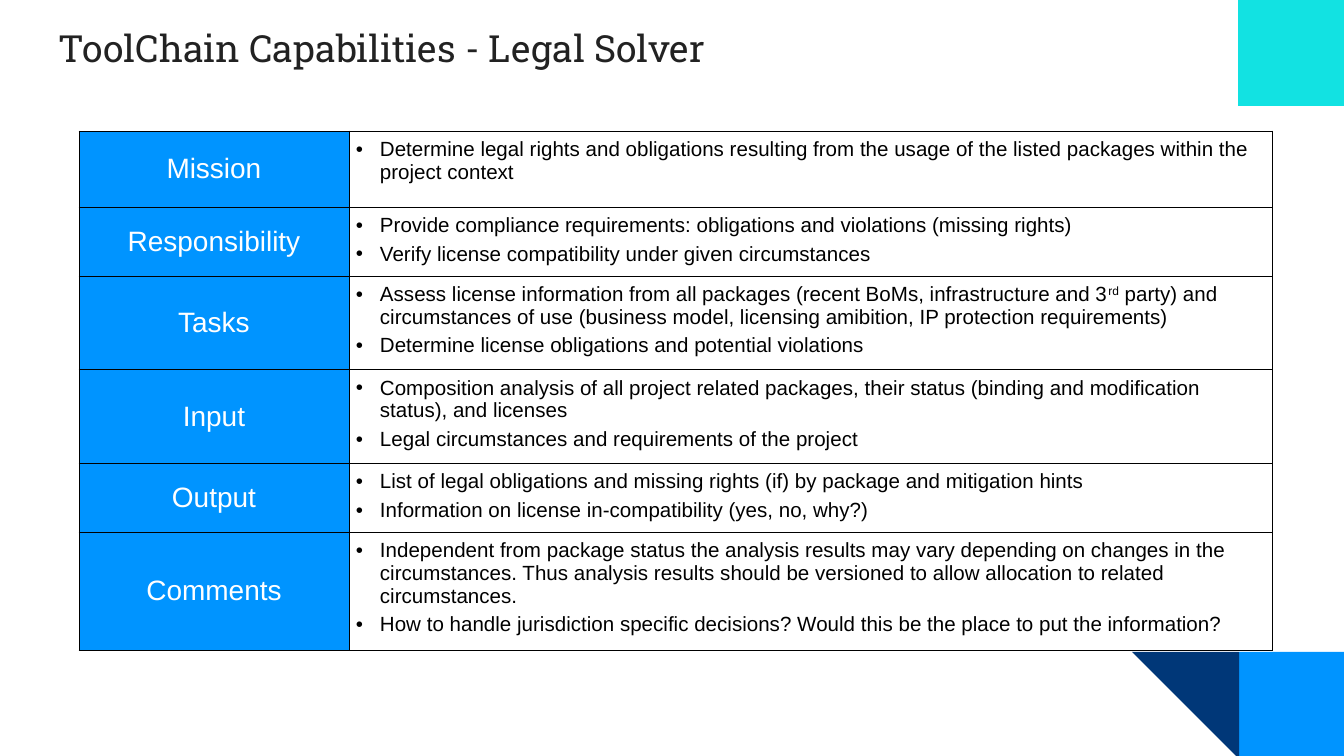
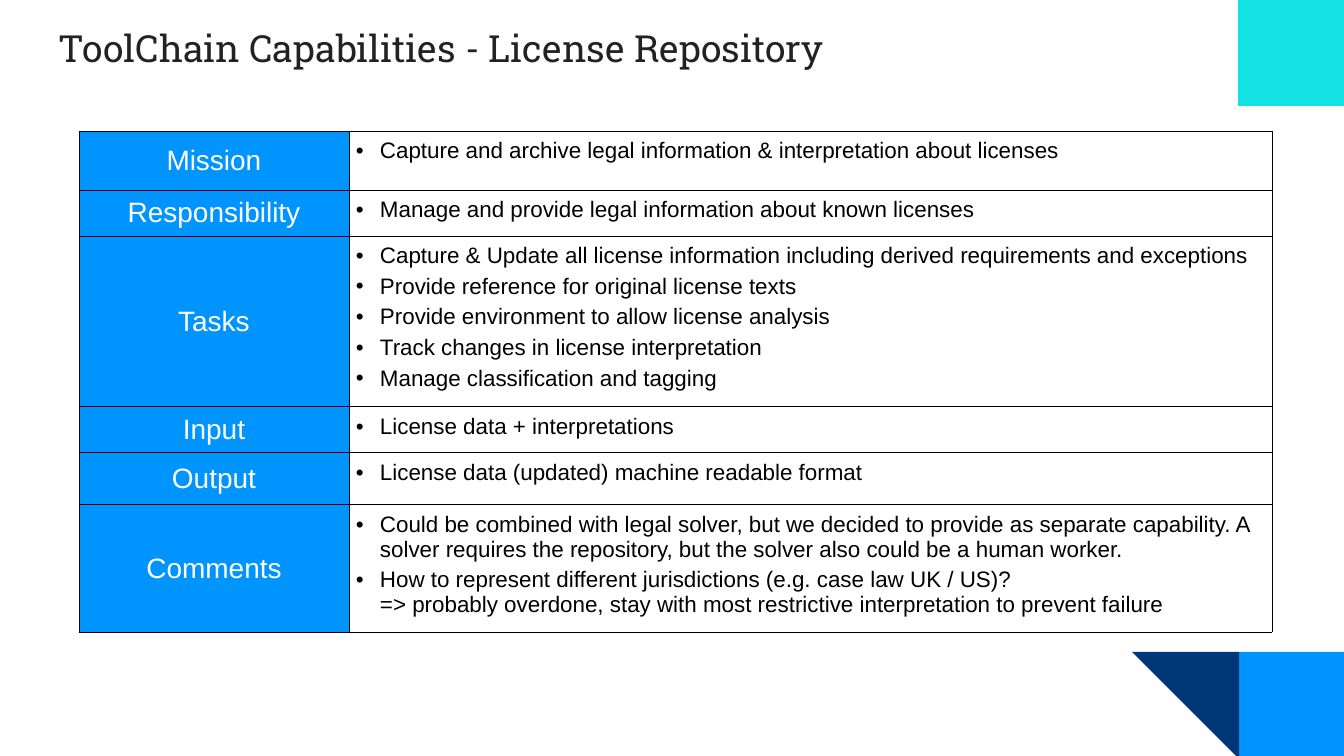
from copy import deepcopy
from typing import NamedTuple

from lxml.etree import SubElement
from pptx import Presentation
from pptx.dml.color import RGBColor
from pptx.enum.shapes import MSO_SHAPE as SHAPE
from pptx.enum.text import MSO_ANCHOR as ANCHOR, PP_ALIGN as ALIGN
from pptx.oxml.ns import qn
from pptx.util import Emu, Pt

EMU_PER_INCH = 914400
PX_PER_INCH = 134.4
COLORS = {
    "blue": "0094FF",
    "navy": "003778",
    "cyan": "12E2E2",
    "title": "222222",
    "black": "000000",
    "white": "FFFFFF",
}
BODY_FONT = "Arial"
TITLE_FONT = "Roboto Slab"
TITLE_SIZE, LABEL_SIZE = 20, 15
LABELS = ["Mission", "Responsibility", "Tasks", "Input", "Output", "Comments"]
TABLE_LEFT, TABLE_TOP = 79, 131
COLUMNS = [270, 923]
CELL_MARGIN = 7
BULLET_INDENT = 24
SUPERSCRIPT_MARK = "^"


class Corner(NamedTuple):
    kind: SHAPE
    left: int
    top: int
    size: int
    color: str
    rotation: int = 0


class Capability(NamedTuple):
    name: str
    text_size: int
    row_heights: list[int]
    contents: list[list[str]]


CORNERS = [
    Corner(SHAPE.RECTANGLE, 1239, 652, 106, "blue"),
    Corner(SHAPE.RIGHT_TRIANGLE, 1132, 652, 107, "navy", 180),
    Corner(SHAPE.RECTANGLE, 1238, 0, 106, "cyan"),
]

CAPABILITIES = [
    Capability("Legal Solver", 11, [76, 66, 88, 89, 66, 111], [
        ["Determine legal rights and obligations resulting from the usage of the "
         "listed packages within the project context"],
        ["Provide compliance requirements: obligations and violations (missing rights)",
         "Verify license compatibility under given circumstances"],
        ["Assess license information from all packages (recent BoMs, infrastructure "
         "and 3^rd^ party) and circumstances of use (business model, licensing "
         "amibition, IP protection requirements)",
         "Determine license obligations and potential violations"],
        ["Composition analysis of all project related packages, their status "
         "(binding and modification status), and licenses",
         "Legal circumstances and requirements of the project"],
        ["List of legal obligations and missing rights (if) by package and "
         "mitigation hints",
         "Information on license in-compatibility (yes, no, why?)"],
        ["Independent from package status the analysis results may vary depending on "
         "changes in the circumstances. Thus analysis results should be versioned to "
         "allow allocation to related circumstances.",
         "How to handle jurisdiction specific decisions? Would this be the place to "
         "put the information?"],
    ]),
    Capability("License Repository", 12, [59, 46, 165, 46, 52, 126], [
        ["Capture and archive legal information & interpretation about licenses"],
        ["Manage and provide legal information about known licenses"],
        ["Capture & Update all license information including derived requirements "
         "and exceptions",
         "Provide reference for original license texts",
         "Provide environment to allow license analysis",
         "Track changes in license interpretation",
         "Manage classification and tagging"],
        ["License data + interpretations"],
        ["License data (updated) machine readable format"],
        ["Could be combined with legal solver, but we decided to provide as separate "
         "capability. A solver requires the repository, but the solver also could be "
         "a human worker.",
         "How to represent different jurisdictions (e.g. case law UK / US)?\n"
         "=> probably overdone, stay with most restrictive interpretation to prevent "
         "failure"],
    ]),
]


def px(n: int) -> Emu:
    return Emu(round(n * EMU_PER_INCH / PX_PER_INCH))


def rgb(color: str) -> RGBColor:
    return RGBColor.from_string(COLORS[color])


def style_runs(p, size: int, color: str, font: str = BODY_FONT) -> None:
    """Format every run, and give line breaks the same format."""
    for r in p.runs:
        r.font.size = Pt(size)
        r.font.name = font
        r.font.color.rgb = rgb(color)
    for br in p._p.findall(qn("a:br")):
        br.append(deepcopy(p.runs[0]._r.rPr))


def add_bullet(p) -> None:
    pPr = p._p.get_or_add_pPr()
    pPr.set("marL", str(px(BULLET_INDENT)))
    pPr.set("indent", str(-px(BULLET_INDENT)))
    clr = SubElement(pPr, qn("a:buClr"))
    SubElement(clr, qn("a:srgbClr"), val=COLORS["black"])
    SubElement(pPr, qn("a:buFont"), typeface=BODY_FONT)
    SubElement(pPr, qn("a:buChar"), char="•")


def set_margins(box, margin: int) -> None:
    box.margin_left = box.margin_right = px(margin)
    box.margin_top = box.margin_bottom = px(margin)


def add_borders(cell) -> None:
    tcPr = cell._tc.get_or_add_tcPr()
    for side in ("lnL", "lnR", "lnT", "lnB"):
        ln = SubElement(tcPr, qn(f"a:{side}"), w=str(Pt(0.5)))
        fill = SubElement(ln, qn("a:solidFill"))
        SubElement(fill, qn("a:srgbClr"), val=COLORS["black"])


def fill_label(cell, label: str) -> None:
    add_borders(cell)
    cell.fill.solid()
    cell.fill.fore_color.rgb = rgb("blue")
    cell.vertical_anchor = ANCHOR.MIDDLE
    set_margins(cell, 0)
    p = cell.text_frame.paragraphs[0]
    p.text = label
    p.alignment = ALIGN.CENTER
    style_runs(p, LABEL_SIZE, "white")


def fill_content(cell, items: list[str], size: int) -> None:
    """Write a bullet list; text between two marks is superscript."""
    add_borders(cell)
    cell.fill.background()
    set_margins(cell, CELL_MARGIN)
    tf = cell.text_frame
    for i, item in enumerate(items):
        p = tf.add_paragraph() if i else tf.paragraphs[0]
        p.space_before = Pt(3 if i else 0)
        add_bullet(p)
        first, *rest = item.split(SUPERSCRIPT_MARK)
        p.text = first
        for j, part in enumerate(rest):
            r = p.add_run()
            r.text = part
            if j % 2 == 0:
                r.font._element.set("baseline", "30000")
        style_runs(p, size, "black")


def add_corners(slide) -> None:
    for corner in CORNERS:
        sp = slide.shapes.add_shape(corner.kind, px(corner.left), px(corner.top),
                                    px(corner.size), px(corner.size))
        sp.rotation = corner.rotation
        sp.shadow.inherit = False
        sp.fill.solid()
        sp.fill.fore_color.rgb = rgb(corner.color)
        sp.line.fill.background()


def add_title(slide, name: str) -> None:
    sp = slide.shapes.add_textbox(px(46), px(12), px(1253), px(89))
    tf = sp.text_frame
    tf.word_wrap = True
    set_margins(tf, 13)
    p = tf.paragraphs[0]
    p.text = f"ToolChain Capabilities - {name}"
    style_runs(p, TITLE_SIZE, "title", TITLE_FONT)


def add_capability_table(slide, capability: Capability) -> None:
    heights = capability.row_heights
    table = slide.shapes.add_table(
        len(LABELS), len(COLUMNS), px(TABLE_LEFT), px(TABLE_TOP),
        px(sum(COLUMNS)), px(sum(heights))).table
    table.first_row = table.horz_banding = False
    for column, width in zip(table.columns, COLUMNS):
        column.width = px(width)
    for row, height, label, items in zip(table.rows, heights, LABELS,
                                         capability.contents):
        row.height = px(height)
        fill_label(row.cells[0], label)
        fill_content(row.cells[1], items, capability.text_size)


def main() -> None:
    prs = Presentation()
    prs.slide_width, prs.slide_height = px(1344), px(756)
    for capability in CAPABILITIES:
        slide = prs.slides.add_slide(prs.slide_layouts[6])
        add_corners(slide)
        add_title(slide, capability.name)
        add_capability_table(slide, capability)
    prs.save("out.pptx")


if __name__ == "__main__":
    main()
